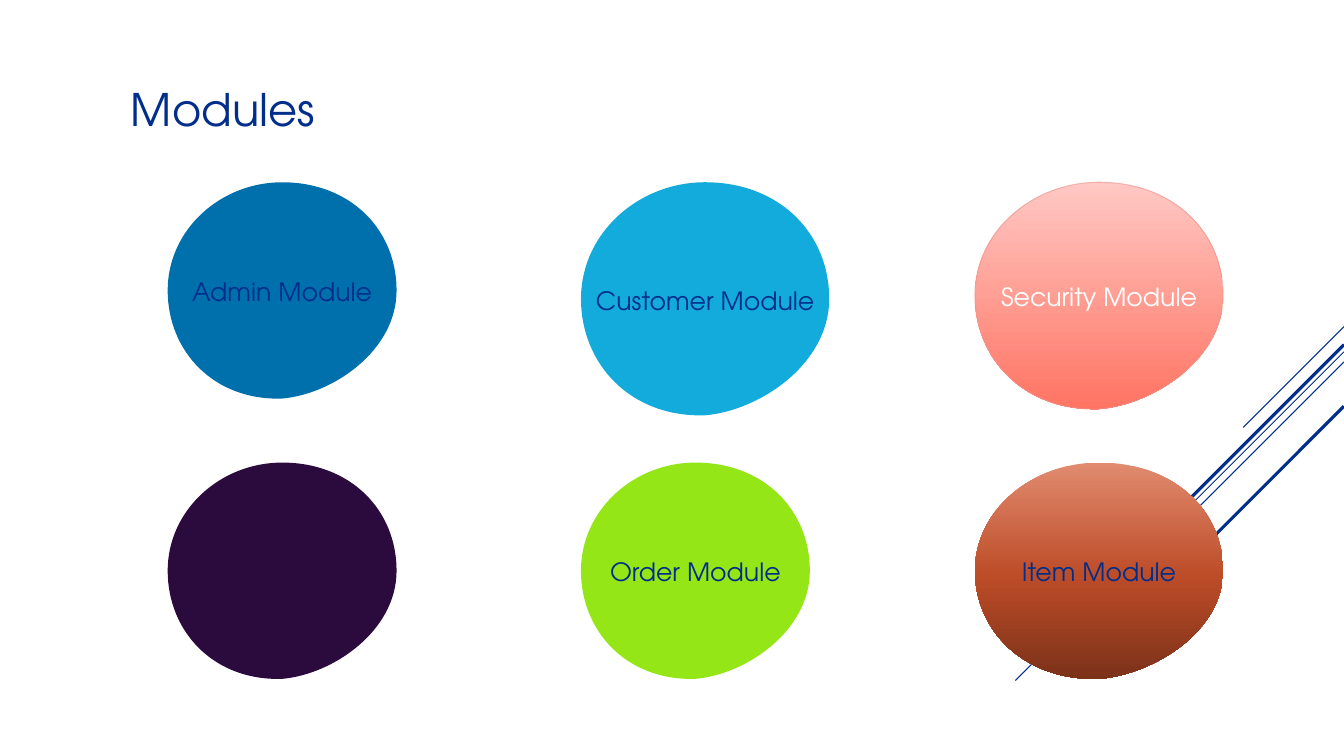
from copy import deepcopy
from lxml.etree import SubElement
from pptx import Presentation
from pptx.dml.color import RGBColor
from pptx.enum.shapes import MSO_CONNECTOR
from pptx.enum.text import MSO_ANCHOR, PP_ALIGN
from pptx.oxml.ns import qn
from pptx.util import Pt

FONT = "TeX Gyre Adventor"
NAVY, WHITE = "002E8A", "FFFFFF"
WIDTH, HEIGHT = 960, 540
COLUMNS = (119.8, 415, 696.4)
ROWS = (130.2, 330.4)

# Outline start, then three Bezier points per curve, as fractions of the size
PEBBLE = (
    (0, .5),
    (0, .22), (.23, 0), (.5, 0),
    (.8, 0), (1, .22), (1, .5),
    (1, .78), (.72, .98), (.5, 1),
    (.2, 1.01), (0, .78), (0, .5),
)

# column, row, width, height, label, fill stops (position, colour) from the top
MODULES = (
    (0, 0, 163.5, 154.5, "Admin Module", [(0, "0070AD")]),
    (1, 0, 177.3, 166.5, "Customer Module", [(0, "12ABDB")]),
    (2, 0, 177.3, 162, "Security Module", [(0, "FFC8C4"), (1, "FF7362")]),
    (0, 1, 163.5, 154.5, "", [(0, "2B0A3D")]),
    (1, 1, 163.5, 154.5, "Order Module", [(0, "95E616")]),
    (2, 1, 177.3, 154.5, "Item Module",
     [(0, "E18B6F"), (.52, "BD4C28"), (1, "7A3119")]),
)

# height at the right edge, horizontal run, line width
DIAGONALS = (
    (233.3, 72, .75),
    (251.3, 234.7, .75),
    (258.5, 149.3, .75),
    (246.2, 137.5, 2.25),
    (290.2, 100, 2.25),
)


def rgb(colour):
    return RGBColor.from_string(colour)


def write(frame, text, size=18, colour=NAVY, align=PP_ALIGN.CENTER,
          anchor=MSO_ANCHOR.MIDDLE, wrap=True):
    frame.word_wrap = wrap
    frame.vertical_anchor = anchor
    paragraph = frame.paragraphs[0]
    paragraph.alignment = align
    run = paragraph.add_run()
    run.text = text
    run.font.name = FONT
    run.font.size = Pt(size)
    run.font.color.rgb = rgb(colour)


def paint(fill, stops):
    """Fill with one colour, or with a gradient running downwards."""
    if len(stops) == 1:
        fill.solid()
        fill.fore_color.rgb = rgb(stops[0][1])
        return
    fill.gradient()
    fill.gradient_angle = 270
    stop_list = fill.gradient_stops[0]._gs.getparent()
    while len(stop_list) < len(stops):
        stop_list.append(deepcopy(stop_list[-1]))
    for stop, (position, colour) in zip(fill.gradient_stops, stops):
        stop.position = position
        stop.color.rgb = rgb(colour)


def curve_outline(shape):
    """Turn every three straight segments into one Bezier curve."""
    segments = list(shape._element.iter(qn("a:lnTo")))
    for first in range(0, len(segments), 3):
        curve = SubElement(segments[first].getparent(), qn("a:cubicBezTo"))
        segments[first].addprevious(curve)
        for segment in segments[first:first + 3]:
            curve.append(segment[0])
            segment.getparent().remove(segment)


def add_pebble(slide, left, top, width, height, label, stops, colour=NAVY):
    start, *controls = [(Pt(left + x * width), Pt(top + y * height))
                        for x, y in PEBBLE]
    builder = slide.shapes.build_freeform(*start)
    builder.add_line_segments(controls, close=True)
    pebble = builder.convert_to_shape()
    curve_outline(pebble)
    pebble.shadow.inherit = False
    paint(pebble.fill, stops)
    pebble.line.fill.background()
    if label:
        write(pebble.text_frame, label, colour=colour, wrap=False)
    return pebble


def add_rim(pebble, colour, opacity):
    pebble.line.width = Pt(.75)
    pebble.line.color.rgb = rgb(colour)
    tint = pebble.line._ln.find(".//" + qn("a:srgbClr"))
    SubElement(tint, qn("a:alpha"), val=str(opacity * 1000))


def add_diagonal(slide, top, run, width):
    """Draw a 45 degree line down and left from the right edge."""
    diagonal = slide.shapes.add_connector(
        MSO_CONNECTOR.STRAIGHT, Pt(WIDTH), Pt(top),
        Pt(WIDTH - run), Pt(top + run))
    diagonal.line.color.rgb = rgb(NAVY)
    diagonal.line.width = Pt(width)
    SubElement(diagonal._element.spPr, qn("a:effectLst"))


def add_title(slide, text):
    title = slide.shapes.add_textbox(Pt(86.4), Pt(54.7), Pt(451.4), Pt(46))
    write(title.text_frame, text, size=32, align=PP_ALIGN.LEFT,
          anchor=MSO_ANCHOR.TOP)


def main():
    deck = Presentation()
    deck.slide_width, deck.slide_height = Pt(WIDTH), Pt(HEIGHT)
    slide = deck.slides.add_slide(deck.slide_layouts[6])
    for diagonal in DIAGONALS:
        add_diagonal(slide, *diagonal)
    add_title(slide, "Modules")
    for column, row, width, height, label, stops in MODULES:
        is_security = label == "Security Module"
        pebble = add_pebble(slide, COLUMNS[column], ROWS[row], width, height,
                            label, stops, WHITE if is_security else NAVY)
        if is_security:
            add_rim(pebble, "EE948B", opacity=60)
    deck.save("out.pptx")


if __name__ == "__main__":
    main()
